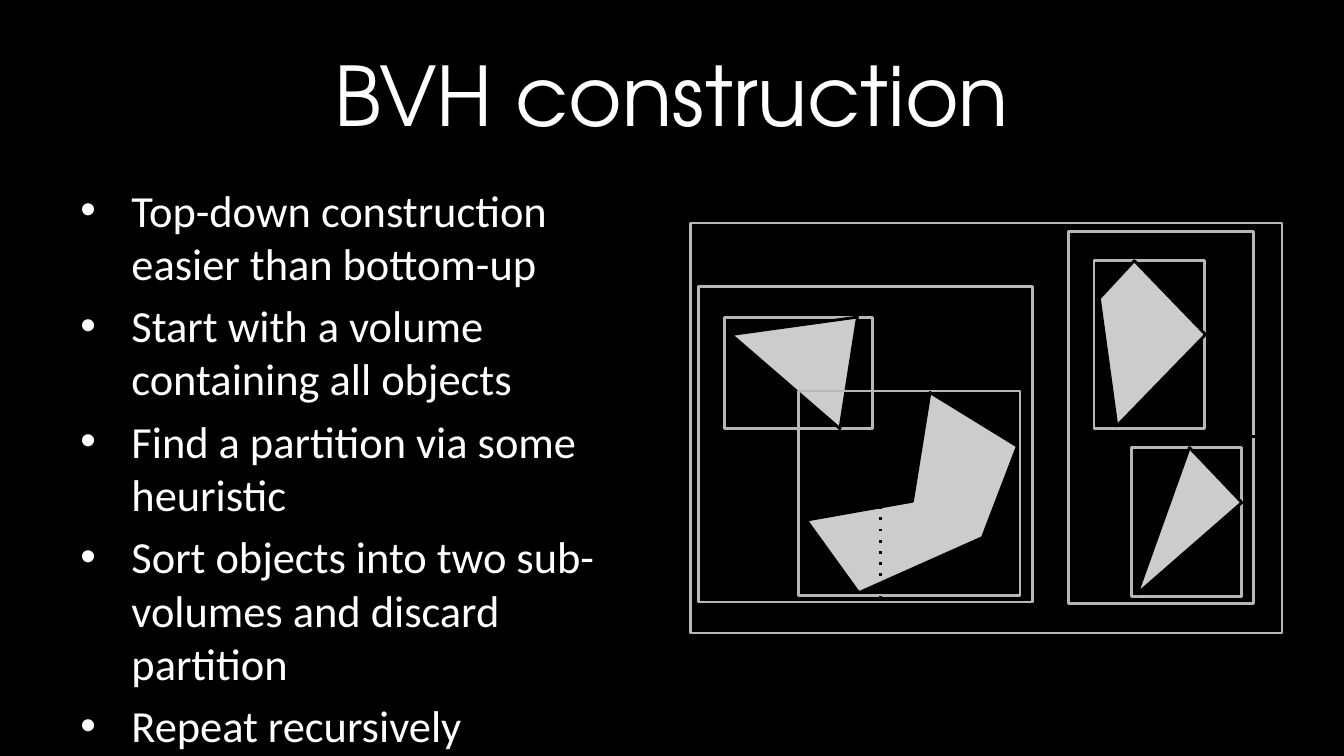
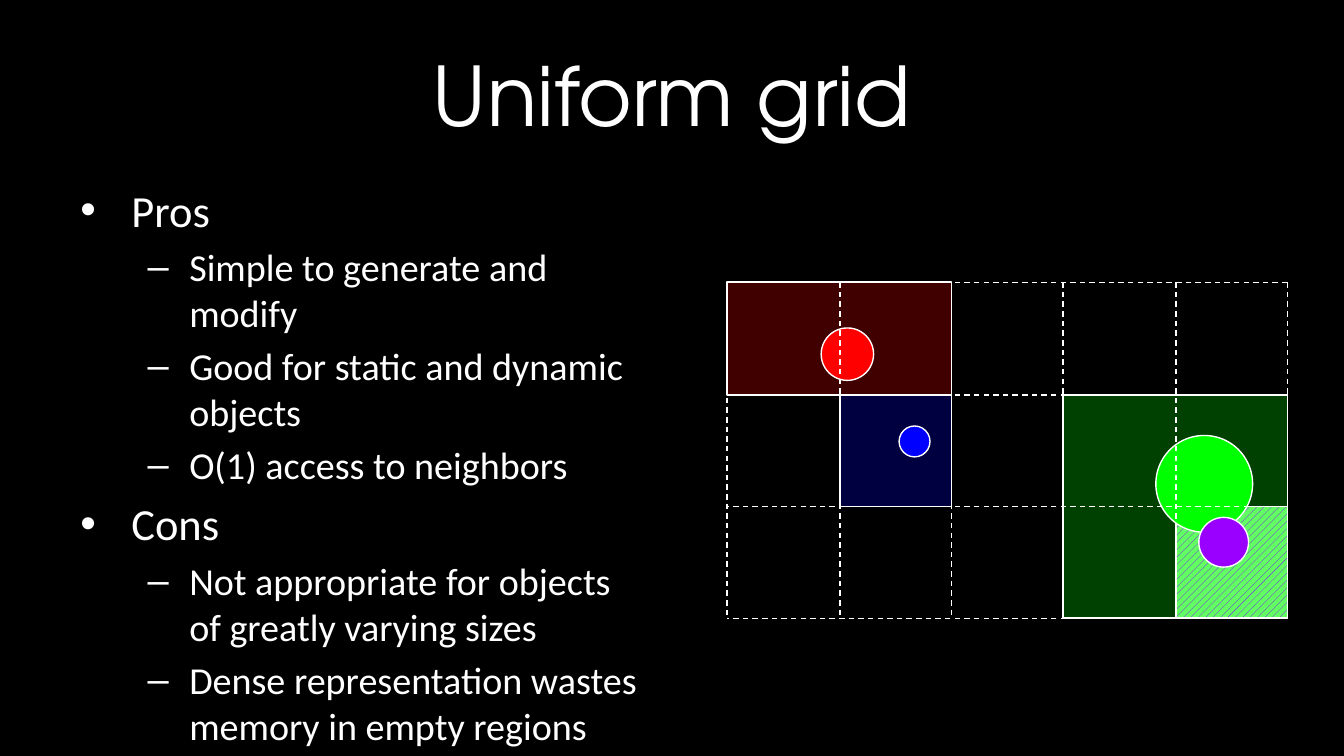
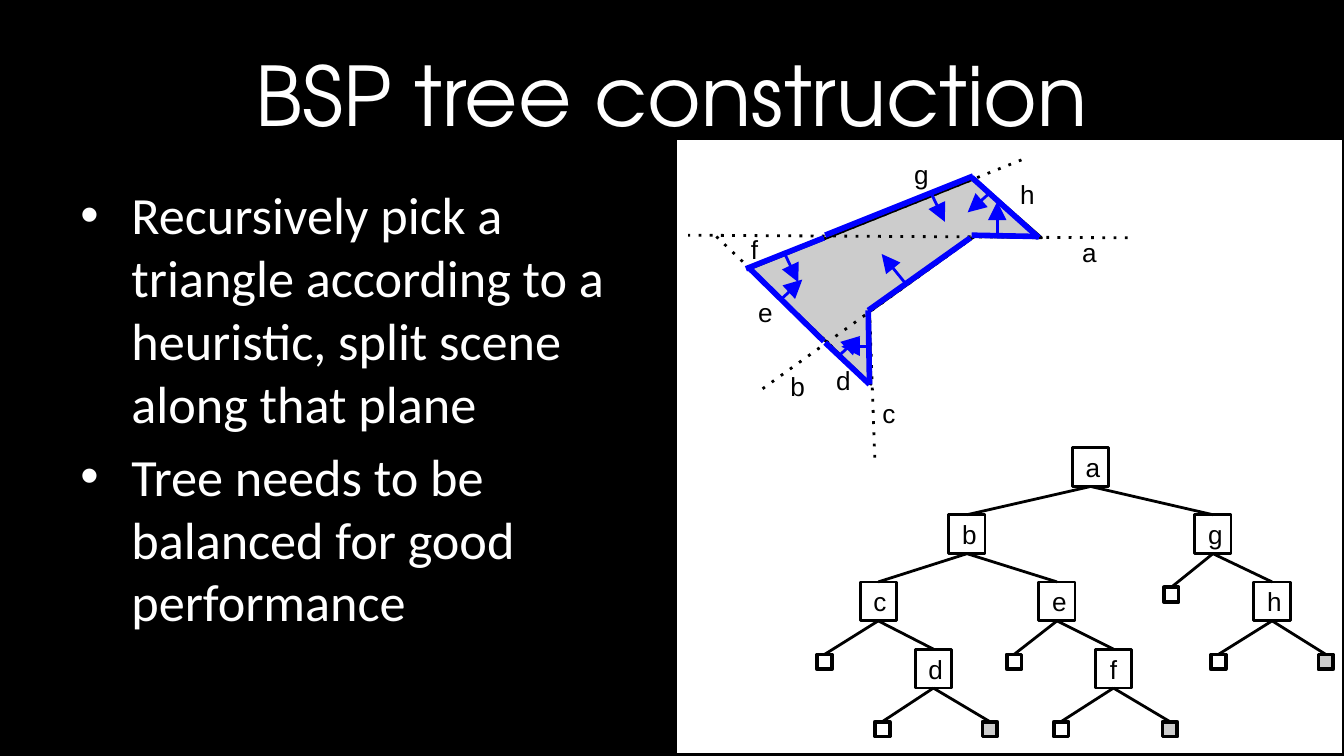
from math import ceil

from lxml.etree import SubElement
from pptx import Presentation
from pptx.dml.color import RGBColor
from pptx.enum.dml import MSO_PATTERN as Pattern
from pptx.enum.shapes import MSO_CONNECTOR as Connector, MSO_SHAPE as Shape
from pptx.enum.text import MSO_ANCHOR as Anchor, MSO_AUTO_SIZE as AutoSize, PP_ALIGN as Align
from pptx.oxml.ns import qn
from pptx.util import Pt

PX = 9144  # 100 px to the inch
COLORS = {
    "black": "000000", "white": "FFFFFF", "frame": "B7B7B7", "solid": "CCCCCC",
    "red": "FF0000", "green": "00FF00", "blue": "0000FF", "purple": "9900FF",
    "hatch": "7F00FF", "mint": "61FF61",
}
TITLE_FONT, BODY_FONT, LABEL_FONT = "TeX Gyre Adventor", "Calibri", "Arial"
# Bullet character, left margin and hanging indent for each level
BULLETS = [("•", 38, 38), ("–", 81, 31)]


def rgb(name):
    return RGBColor.from_string(COLORS[name])


class Board:
    """Holds the deck, its style and the current page."""

    def __init__(self):
        self.deck = Presentation()
        self.deck.slide_width = 1000 * PX
        self.deck.slide_height = self.deck.slide_width * 9 // 16
        self.page = None

    def new_page(self, title):
        self.page = self.deck.slides.add_slide(self.deck.slide_layouts[5])
        background = self.page.background.fill
        background.solid()
        background.fore_color.rgb = rgb("black")
        box = self.page.shapes.title
        box.left, box.top, box.width, box.height = (n * PX for n in (50, 23, 900, 94))
        frame = self.frame(box, Anchor.MIDDLE)
        para = frame.paragraphs[0]
        para.alignment = Align.CENTER
        self.span(para, title, TITLE_FONT, 44, "white")

    def frame(self, box, anchor, inset=None):
        frame = box.text_frame
        frame.word_wrap, frame.auto_size = True, AutoSize.NONE
        frame.vertical_anchor = anchor
        if inset is not None:
            frame.margin_left = frame.margin_right = inset * PX
            frame.margin_top = frame.margin_bottom = inset * PX
        return frame

    def span(self, para, text, font, size, color):
        span = para.add_run()
        span.text = text
        span.font.name, span.font.size = font, Pt(size)
        span.font.color.rgb = rgb(color)

    def bullets(self, items, sizes, width=442):
        """Items are (level, text) pairs; sizes gives one font size a level."""
        box = self.page.shapes.add_textbox(50 * PX, 131 * PX, width * PX, 371 * PX)
        frame = self.frame(box, Anchor.TOP)
        for index, (level, text) in enumerate(items):
            para = frame.add_paragraph() if index else frame.paragraphs[0]
            mark, margin, hang = BULLETS[level]
            para.level = level
            props = para._p.get_or_add_pPr()
            props.set("marL", str(margin * PX))
            props.set("indent", str(-hang * PX))
            SubElement(props, qn("a:buFont"), typeface=LABEL_FONT)
            SubElement(props, qn("a:buChar"), char=mark)
            para.space_before = Pt(sizes[level] * 0.2 if index else 0)
            self.span(para, text, BODY_FONT, sizes[level], "white")

    def outline(self, shape, fill, color, weight):
        shape.shadow.inherit = False
        if fill:
            shape.fill.solid()
            shape.fill.fore_color.rgb = rgb(fill)
        else:
            shape.fill.background()
        shape.line.color.rgb = rgb(color)
        shape.line.width = Pt(weight)
        return shape

    def shape(self, kind, place, fill, color, weight):
        shape = self.page.shapes.add_shape(kind, *(n * PX for n in place))
        return self.outline(shape, fill, color, weight)

    def polygon(self, points):
        builder = self.page.shapes.build_freeform(*points[0], scale=PX)
        builder.add_line_segments(points[1:], close=True)
        return self.outline(builder.convert_to_shape(), "solid", "black", 1.5)

    def line(self, start, end, color="black", weight=1.5, dash=None, arrow=False):
        ends = (n * PX for n in (*start, *end))
        line = self.page.shapes.add_connector(Connector.STRAIGHT, *ends)
        line.line.color.rgb = rgb(color)
        line.line.width = Pt(weight)
        props = line.element.spPr
        stroke = props.find(qn("a:ln"))
        if dash:
            SubElement(stroke, qn("a:prstDash"), val=dash)
        if arrow:
            SubElement(stroke, qn("a:tailEnd"), type="triangle", w="lg", len="lg")
        SubElement(props, qn("a:effectLst"))
        return line

    def link(self, parent, child):
        line = self.line((0, 0), (0, 0))
        line.begin_connect(parent, 2)
        line.end_connect(child, 0)

    def letter(self, box, text):
        para = self.frame(box, Anchor.MIDDLE, 10).paragraphs[0]
        para.alignment = Align.CENTER
        self.span(para, text, LABEL_FONT, 14, "black")

    def label(self, text, left, top):
        box = self.page.shapes.add_textbox(left * PX, top * PX, 43 * PX, 29 * PX)
        self.letter(box, text)


def bvh_page(board):
    board.new_page("BVH construction")
    board.bullets([
        (0, "Top-down construction easier than bottom-up"),
        (0, "Start with a volume containing all objects"),
        (0, "Find a partition via some heuristic"),
        (0, "Sort objects into two sub-volumes and discard partition"),
        (0, "Repeat recursively"),
    ], [23.8])

    def volume(*place):
        board.shape(Shape.RECTANGLE, place, None, "frame", 1.5)

    # Bounding volumes and the objects inside them
    volume(514, 166, 440, 305)
    volume(520, 213, 248, 235)
    volume(795, 172, 138, 277)
    volume(539, 236, 110, 83)
    volume(814, 194, 82, 125)
    volume(842, 333, 82, 111)
    board.polygon([(625, 319), (638, 236), (544, 249)])
    volume(594, 291, 165, 152)
    board.polygon([(692, 292), (679, 373), (600, 387), (639, 441), (731, 400), (757, 332)])
    board.polygon([(818, 222), (831, 317), (897, 249), (844, 194)])
    board.polygon([(885, 333), (846, 442), (924, 374)])

    # Partitions
    for start, end in [((786, 130), (786, 510)), ((655, 193), (655, 474)),
                       ((967, 325), (775, 325))]:
        board.line(start, end, dash="dot")


def grid_page(board):
    board.new_page("Uniform grid")
    board.bullets([
        (0, "Pros"),
        (1, "Simple to generate and modify"),
        (1, "Good for static and dynamic objects"),
        (1, "O(1) access to neighbors"),
        (0, "Cons"),
        (1, "Not appropriate for objects of greatly varying sizes"),
        (1, "Dense representation wastes memory in empty regions"),
    ], [23.8, 20.4])
    columns = [541 + ceil(83.3 * step) for step in range(6)]
    rows = [210 + ceil(83.3 * step) for step in range(4)]

    def cells(column, row, across, down, fill):
        left, top = columns[column], rows[row]
        place = left, top, columns[column + across] - left, rows[row + down] - top
        return board.shape(Shape.RECTANGLE, place, fill, "white", 0.75)

    # Cells that each ball touches
    for *block, fill in [(0, 0, 2, 1, "red"), (1, 1, 1, 1, "blue"), (3, 1, 2, 2, "green")]:
        tint = cells(*block, fill).element.spPr.find(qn("a:solidFill"))
        SubElement(tint[0], qn("a:alpha"), val="25000")
    shared = cells(4, 2, 1, 1, "mint").fill
    shared.patterned()
    shared.pattern = Pattern.WIDE_UPWARD_DIAGONAL
    shared.fore_color.rgb = rgb("hatch")
    shared.back_color.rgb = rgb("mint")

    # Balls
    for left, top, size, fill in [(611, 244, 39, "red"), (669, 317, 23, "blue"),
                                  (860, 324, 72, "green"), (892, 385, 37, "purple")]:
        board.shape(Shape.OVAL, (left, top, size, size), fill, "white", 0.75)

    # Grid lines
    for x in columns:
        board.line((x, rows[0]), (x, rows[-1]), "white", 0.75, "dash")
    for y in rows:
        board.line((columns[-1], y), (columns[0], y), "white", 0.75, "dash")


def bsp_page(board):
    board.new_page("BSP tree construction")
    panel = board.shape(Shape.RECTANGLE, (502, 103, 498, 459), "white", "black", 2)
    board.page.shapes.title.element.addprevious(panel.element)
    board.bullets([
        (0, "Recursively pick a triangle according to a heuristic, split scene along that plane"),
        (0, "Tree needs to be balanced for good performance"),
    ], [28], width=450)

    # Scene with its splitting planes
    board.polygon([(648, 286), (647, 232), (725, 176), (775, 177), (725, 133), (558, 200)])
    for start, end in [((839, 177), (512, 175)), ((725, 176), (565, 291)),
                       ((647, 230), (651, 344)), ((533, 176), (619, 258)),
                       ((760, 119), (610, 179))]:
        board.line(start, end, dash="dot")
    for text, left, top in [("b", 572, 273), ("a", 789, 173), ("c", 640, 293),
                            ("d", 606, 268), ("e", 548, 218), ("f", 540, 171),
                            ("g", 664, 115), ("h", 743, 130)]:
        board.label(text, left, top)

    # Tree nodes: name, parent, left, depth
    nodes, tops = {}, {}
    for name, parent, left, depth in [
        ("a", None, 798, 0), ("b", "a", 706, 1), ("g", "a", 889, 1), ("c", "b", 640, 2),
        ("e", "b", 773, 2), ("h", "g", 933, 2), ("d", "c", 681, 3), ("f", "e", 815, 3),
    ]:
        tops[name] = 333 + 50 * depth
        place = left, tops[name], 27, 29
        nodes[name] = board.shape(Shape.RECTANGLE, place, None, "black", 1.5)
        board.letter(nodes[name], name)
        if parent:
            board.link(nodes[parent], nodes[name])

    # Leaves: parent, left, fill
    for parent, left, fill in [
        ("c", 608, "white"), ("e", 749, "white"), ("g", 866, "white"),
        ("d", 651, "white"), ("d", 731, "solid"), ("f", 784, "white"),
        ("f", 865, "solid"), ("h", 901, "white"), ("h", 981, "solid"),
    ]:
        place = left, tops[parent] + 54, 11, 11
        leaf = board.shape(Shape.RECTANGLE, place, fill, "black", 2)
        board.link(nodes[parent], leaf)

    # Edges of the scene, each with its normal
    for normal, edge in [
        (((742, 174), (742, 150)), ((773, 176), (723, 175))),
        (((673, 210), (656, 189)), ((646, 231), (722, 177))),
        (((645, 258), (626, 258)), ((646, 231), (647, 286))),
        (((625, 264), (640, 250)), ((614, 255), (647, 286))),
        (((582, 222), (597, 208)), ((613, 254), (557, 199))),
        (((583, 187), (594, 210)), ((613, 177), (555, 200))),
        (((692, 142), (703, 165)), ((614, 175), (724, 131))),
        (((736, 144), (720, 158)), ((773, 177), (723, 132))),
    ]:
        board.line(*normal, "blue", arrow=True)
        board.line(*edge, "blue", 3)


def main():
    board = Board()
    bvh_page(board)
    grid_page(board)
    bsp_page(board)
    board.deck.save("out.pptx")


if __name__ == "__main__":
    main()
